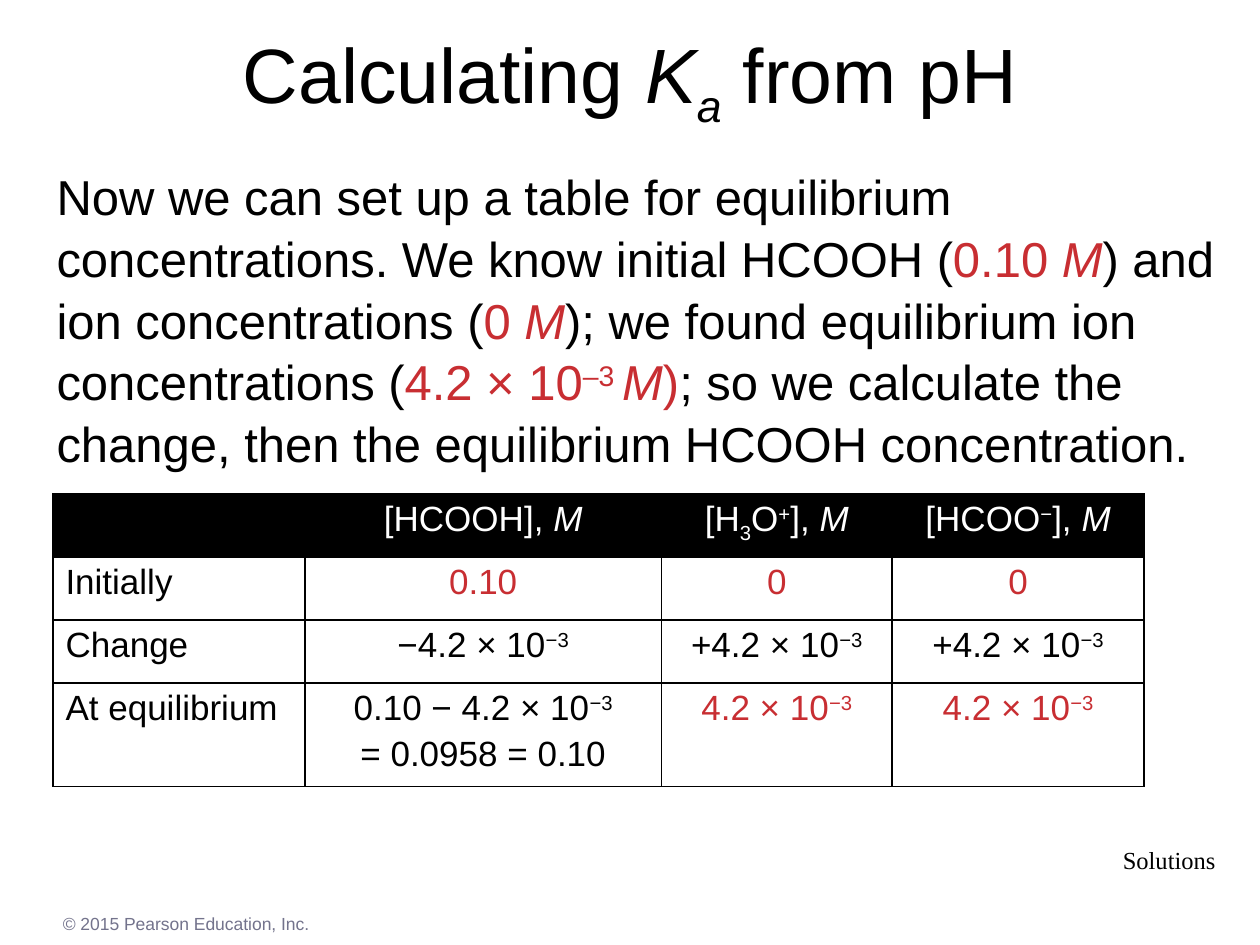
import pptx
import pptx.dml.color
import pptx.enum.text
import pptx.oxml
import pptx.util
from pptx.util import Inches, Pt

RGBColor = pptx.dml.color.RGBColor
ALIGN = pptx.enum.text.PP_ALIGN
ANCHOR = pptx.enum.text.MSO_ANCHOR

BLACK = RGBColor(0x00, 0x00, 0x00)
WHITE = RGBColor(0xFF, 0xFF, 0xFF)
RED = RGBColor(0xC8, 0x2E, 0x32)
GREY = RGBColor(0x73, 0x73, 0x8C)

ITALIC = {"italic": True}
SUPER = {"baseline": 30}
SUB = {"baseline": -25}
KNOWN = {"color": RED}

M = ("M", ITALIC)
RED_M = ("M", KNOWN | ITALIC)
POWER = ("−3", SUPER)
ION_FOUND = [[("4.2 × 10", KNOWN), ("−3", KNOWN | SUPER)]]
ION_GAIN = [["+4.2 × 10", POWER]]

TITLE = [["Calculating ", ("K", ITALIC), ("a", ITALIC | SUB), " from pH"]]
BODY = [[
    "Now we can set up a table for equilibrium concentrations. We know initial HCOOH (",
    ("0.10 ", KNOWN), RED_M, ") and ion concentrations (", ("0 ", KNOWN), RED_M,
    "); we found equilibrium ion concentrations (", ("4.2 × 10", KNOWN),
    ("–3 ", KNOWN | SUPER), RED_M, (")", KNOWN),
    "; so we calculate the change, then the equilibrium HCOOH concentration.",
]]

TEXTS = [
    (TITLE, (0, 0, 10, 1.25), {"size": 44, "align": ALIGN.CENTER},
     {"vertical_anchor": ANCHOR.MIDDLE}),
    (BODY, (0.35, 1.25, 9.48, 2.46), {"size": 28, "spacing": 1.05}, {}),
    ([["Solutions"]], (8.81, 6.66, 0.94, 0.34),
     {"size": 14, "name": "Times New Roman", "align": ALIGN.CENTER},
     {"word_wrap": False}),
    ([["© 2015 Pearson Education, Inc."]], (0.4, 7.2, 9, 0.27),
     {"size": 10, "color": GREY}, {}),
]

TABLE_ROWS = [
    [[], [["[HCOOH], ", M]],
     [["[H", ("3", SUB), "O", ("+", SUPER), "], ", M]],
     [["[HCOO", ("−", SUPER), "], ", M]]],
    [[["Initially"]], [[("0.10", KNOWN)]], [[("0", KNOWN)]], [[("0", KNOWN)]]],
    [[["Change"]], [["−4.2 × 10", POWER]], ION_GAIN, ION_GAIN],
    [[["At equilibrium"]],
     [["0.10 − 4.2 × 10", POWER], ["= 0.0958 = 0.10"]], ION_FOUND, ION_FOUND],
]
COLUMN_WIDTHS = [2, 2.83, 1.83, 2]
ROW_HEIGHTS = [0.5, 0.5, 0.5, 0.82]
TABLE_LEFT, TABLE_TOP = 0.42, 3.92

BORDER = (
    '<a:{side} xmlns:a="http://schemas.openxmlformats.org/drawingml/2006/main" w="12700">'
    '<a:solidFill><a:srgbClr val="{color}"/></a:solidFill></a:{side}>'
)


def write(frame, paragraphs, size, name="Arial", color=BLACK,
          align=ALIGN.LEFT, spacing=None):
    for index, runs in enumerate(paragraphs):
        para = frame.add_paragraph() if index else frame.paragraphs[0]
        para.alignment = align
        if spacing:
            para.line_spacing = spacing
        if index:
            para.space_before = Pt(size * 0.2)
        for run in runs:
            text, style = (run, {}) if isinstance(run, str) else run
            span = para.add_run()
            span.text = text
            formats = {"name": name, "size": Pt(size),
                       "italic": style.get("italic", False)}
            for key, value in formats.items():
                setattr(span.font, key, value)
            span.font.color.rgb = style.get("color", color)
            if "baseline" in style:
                span._r.get_or_add_rPr().set("baseline", str(style["baseline"] * 1000))


def add_text(page, paragraphs, place, style, frame_formats):
    box = page.shapes.add_textbox(*map(Inches, place))
    for key, value in ({"word_wrap": True} | frame_formats).items():
        setattr(box.text_frame, key, value)
    write(box.text_frame, paragraphs, **style)


def add_concentration_table(page):
    table = page.shapes.add_table(
        len(TABLE_ROWS), len(COLUMN_WIDTHS), Inches(TABLE_LEFT), Inches(TABLE_TOP),
        Inches(sum(COLUMN_WIDTHS)), Inches(sum(ROW_HEIGHTS))).table
    table.horz_banding = False
    for column, width in zip(table.columns, COLUMN_WIDTHS):
        column.width = Inches(width)
    for row, height in zip(table.rows, ROW_HEIGHTS):
        row.height = Inches(height)
    for row_index, contents in enumerate(TABLE_ROWS):
        for column_index, paragraphs in enumerate(contents):
            cell = table.cell(row_index, column_index)
            properties = cell._tc.get_or_add_tcPr()
            for side in ("lnL", "lnR", "lnT", "lnB"):
                properties.append(pptx.oxml.parse_xml(BORDER.format(side=side, color=BLACK)))
            cell.fill.solid()
            cell.fill.fore_color.rgb = WHITE if row_index else BLACK
            write(cell.text_frame, paragraphs, 20,
                  color=BLACK if row_index else WHITE,
                  align=ALIGN.CENTER if column_index else ALIGN.LEFT)


def main():
    deck = pptx.Presentation()
    deck.slide_width, deck.slide_height = Inches(10), Inches(7.5)
    page = deck.slides.add_slide(deck.slide_layouts[6])
    for entry in TEXTS:
        add_text(page, *entry)
    add_concentration_table(page)
    deck.save("out.pptx")


if __name__ == "__main__":
    main()
